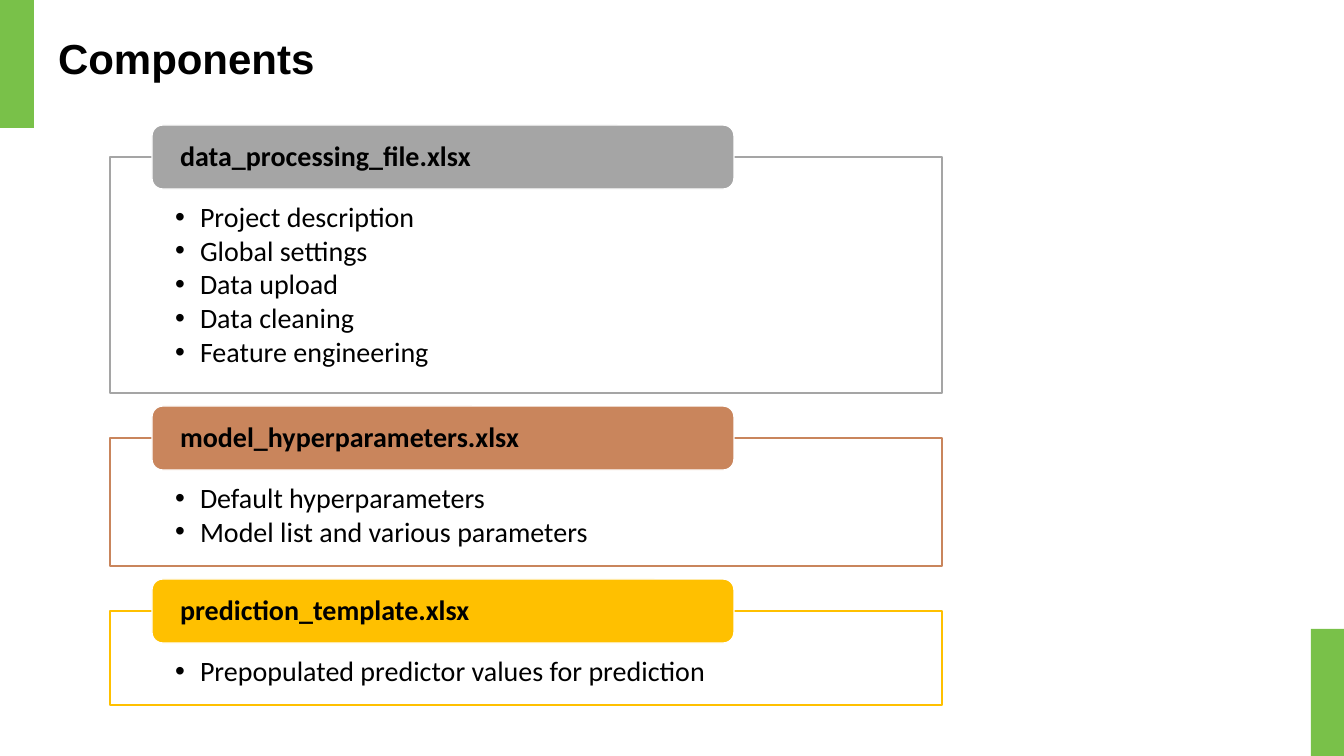
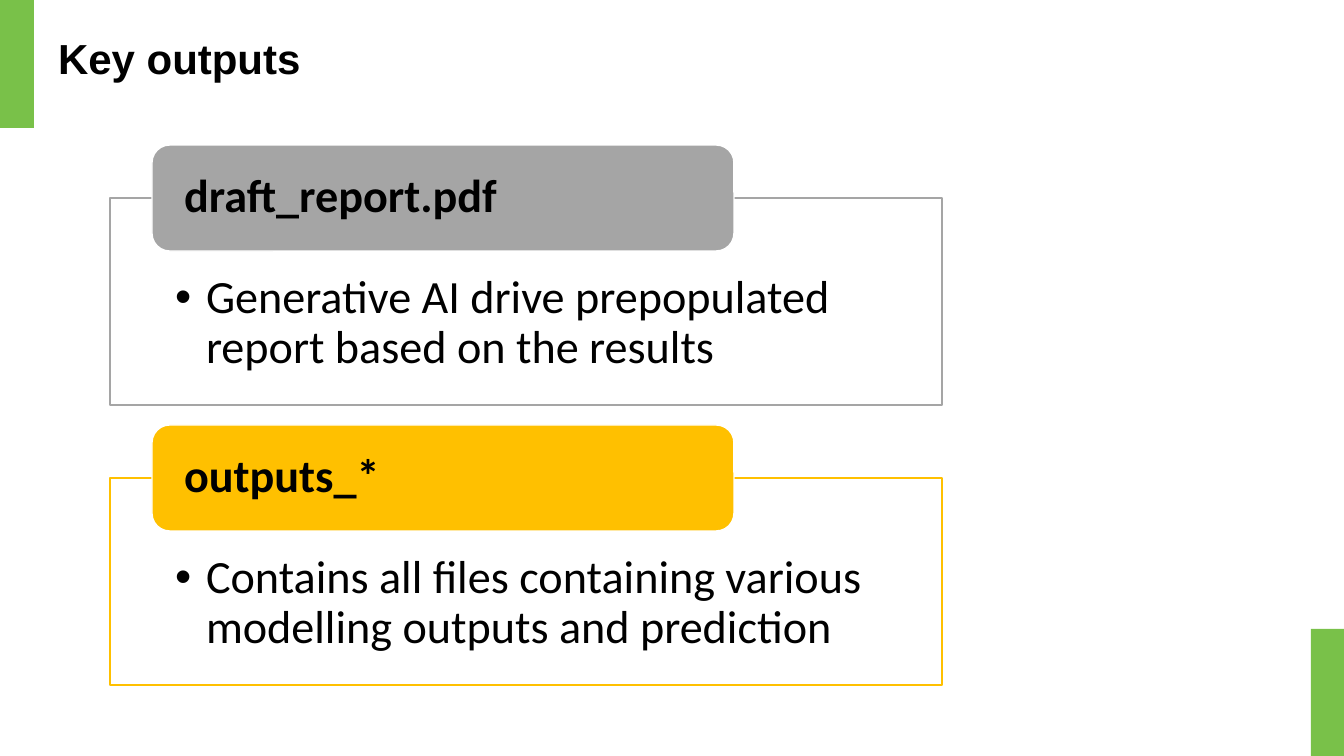
"""Build two slides of labelled file panels: components and key outputs."""
import pptx
import pptx.dml.color
import pptx.enum.shapes
import pptx.enum.text
import pptx.oxml.ns
import pptx.util
from lxml import etree

PX = 914400 / 100.8
SHAPE = pptx.enum.shapes.MSO_SHAPE
ANCHOR = pptx.enum.text.MSO_ANCHOR
COLORS = {"green": "79C149", "gray": "A5A5A5", "copper": "C9855C",
          "amber": "FFC000", "white": "FFFFFF", "black": "000000"}
PANEL_LEFT, PANEL_WIDTH = 110, 832
TAB_LEFT, TAB_WIDTH = 152, 582
BANDS = [(0, 0, 34, 128), (1311, 629, 33, 127)]

SLIDES = [
    {"title": "Components", "top": 157, "gap": 45, "tab_height": 64, "size": 20,
     "tab_inset": 25, "body_inset": 46, "indent": 25,
     "panels": [
         ("data_processing_file.xlsx", "gray", 236,
          ["Project description", "Global settings", "Data upload",
           "Data cleaning", "Feature engineering"]),
         ("model_hyperparameters.xlsx", "copper", 128,
          ["Default hyperparameters", "Model list and various parameters"]),
         ("prediction_template.xlsx", "amber", 94,
          ["Prepopulated predictor values for prediction"])]},
    {"title": "Key outputs", "top": 198, "gap": 73, "tab_height": 106, "size": 33,
     "tab_inset": 27, "body_inset": 76, "indent": 31,
     "panels": [
         ("draft_report.pdf", "gray", 207,
          ["Generative AI drive prepopulated report based on the results"]),
         ("outputs_*", "amber", 207,
          ["Contains all files containing various modelling outputs and prediction"])]},
]


def add_box(slide, kind, left, top, width, height, fill, line=None):
    shape = slide.shapes.add_shape(
        kind, *(round(value * PX) for value in (left, top, width, height)))
    shape.shadow.inherit = False
    shape.fill.solid()
    shape.fill.fore_color.rgb = pptx.dml.color.RGBColor.from_string(COLORS[fill])
    if line:
        shape.line.color.rgb = pptx.dml.color.RGBColor.from_string(COLORS[line])
        shape.line.width = pptx.util.Pt(1)
    else:
        shape.line.fill.background()
    return shape


def write_text(shape, lines, *, size, font="Calibri", bold=False, anchor=ANCHOR.MIDDLE,
               inset=(10, 5, 10, 5), indent=0, space_after=0):
    frame = shape.text_frame
    frame.text = "\n".join(lines)
    frame.word_wrap = True
    frame.auto_size = pptx.enum.text.MSO_AUTO_SIZE.NONE
    frame.vertical_anchor = anchor
    (frame.margin_left, frame.margin_top,
     frame.margin_right, frame.margin_bottom) = (round(value * PX) for value in inset)
    for paragraph in frame.paragraphs:
        paragraph.alignment = pptx.enum.text.PP_ALIGN.LEFT
        paragraph.line_spacing = 0.9
        paragraph.space_after = pptx.util.Pt(space_after)
        paragraph.font.size = pptx.util.Pt(size)
        for run in paragraph.runs:
            run.font.name = font
            run.font.size = pptx.util.Pt(size)
            run.font.bold = bold
            run.font.color.rgb = pptx.dml.color.RGBColor.from_string(COLORS["black"])
        if indent:
            properties = paragraph._p.get_or_add_pPr()
            properties.set("marL", str(round(indent * PX)))
            properties.set("indent", str(-round(indent * PX)))
            bullet_font = etree.Element(pptx.oxml.ns.qn("a:buFont"), typeface="Arial")
            bullet = etree.Element(pptx.oxml.ns.qn("a:buChar"), char="•")
            first_run_style = properties.find(pptx.oxml.ns.qn("a:defRPr"))
            first_run_style.addprevious(bullet_font)
            first_run_style.addprevious(bullet)


presentation = pptx.Presentation()
presentation.slide_width = round(1344 * PX)
presentation.slide_height = round(756 * PX)

layout = presentation.slide_layouts.get_by_name("Title Only")
layout_title = layout.placeholders[0]
layout_title.left, layout_title.top = round(48 * PX), round(8 * PX)
layout_title.width, layout_title.height = round(1227 * PX), round(106 * PX)

slides = [presentation.slides.add_slide(layout) for _ in SLIDES]
for band_box in BANDS:
    band = add_box(slides[0], SHAPE.RECTANGLE, *band_box, "green")
    layout_title.element.addprevious(band.element)

for slide, content in zip(slides, SLIDES):
    write_text(slide.shapes.title, [content["title"]], size=30, font="Arial", bold=True)
    top = content["top"]
    tab_height = content["tab_height"]
    for name, color, height, items in content["panels"]:
        panel = add_box(slide, SHAPE.RECTANGLE, PANEL_LEFT, top, PANEL_WIDTH, height,
                        "white", color)
        write_text(panel, items, size=content["size"], anchor=ANCHOR.TOP,
                   inset=(65, content["body_inset"], 65, 16),
                   indent=content["indent"], space_after=2.6)
        tab = add_box(slide, SHAPE.ROUNDED_RECTANGLE, TAB_LEFT, top - tab_height / 2,
                      TAB_WIDTH, tab_height, color, "white")
        write_text(tab, [name], size=content["size"], bold=True,
                   inset=(content["tab_inset"], 0, content["tab_inset"], 0))
        top += height + content["gap"]

presentation.save("out.pptx")
